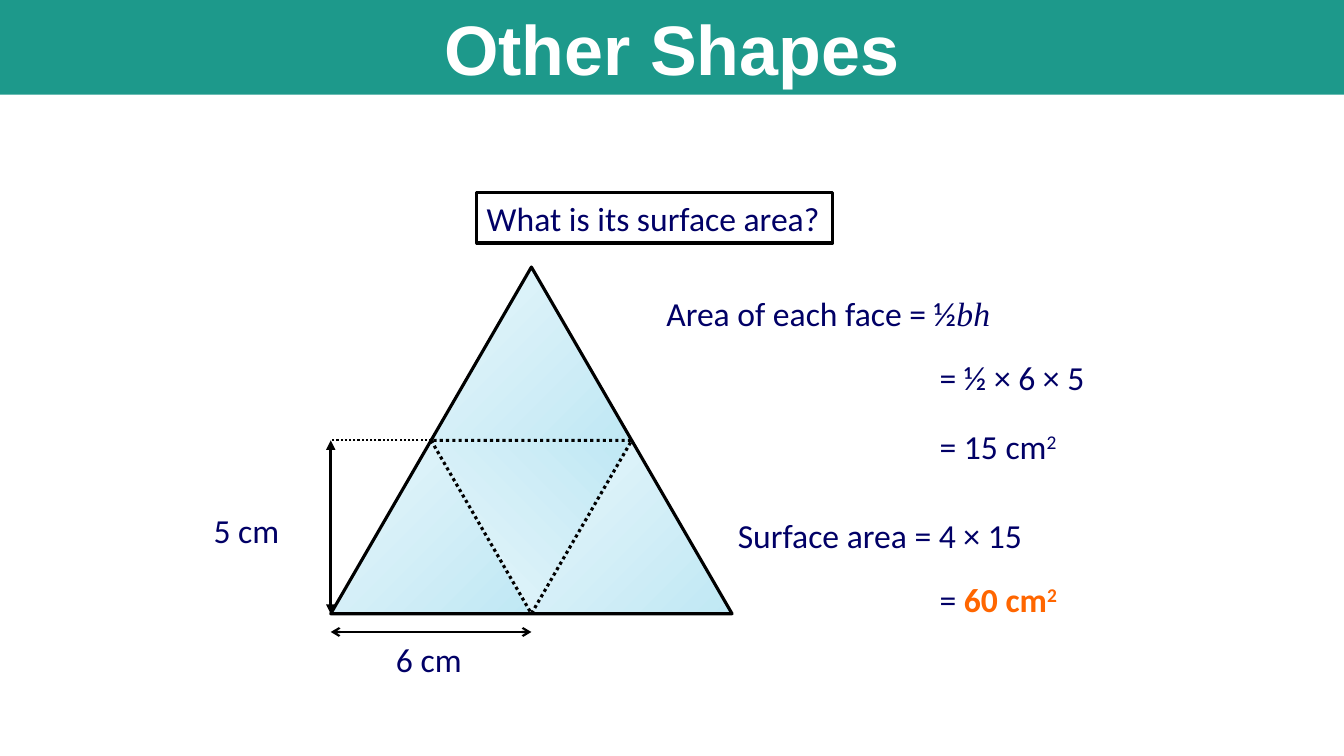
from dataclasses import dataclass

from pptx import Presentation
from pptx.dml.color import RGBColor
from pptx.enum.dml import MSO_LINE
from pptx.enum.shapes import MSO_CONNECTOR, MSO_SHAPE
from pptx.enum.text import MSO_ANCHOR, MSO_AUTO_SIZE, PP_ALIGN
from pptx.oxml.ns import qn
from pptx.shapes.autoshape import Shape
from pptx.slide import Slide
from pptx.util import Inches, Pt
from lxml import etree

RECTANGLE, TRIANGLE = MSO_SHAPE.RECTANGLE, MSO_SHAPE.ISOSCELES_TRIANGLE
STRAIGHT, DOTTED = MSO_CONNECTOR.STRAIGHT, MSO_LINE.ROUND_DOT
CENTER, MIDDLE = PP_ALIGN.CENTER, MSO_ANCHOR.MIDDLE
FIT_TEXT = MSO_AUTO_SIZE.SHAPE_TO_FIT_TEXT

WHITE = RGBColor(0xFF, 0xFF, 0xFF)
BLACK = RGBColor(0x00, 0x00, 0x00)
NAVY = RGBColor(0x01, 0x00, 0x66)
ORANGE = RGBColor(0xFF, 0x66, 0x00)
TEAL = RGBColor(0x1D, 0x99, 0x8B)
PALE_BLUE = RGBColor(0xE8, 0xF6, 0xFB)
LIGHT_BLUE = RGBColor(0xC0, 0xE8, 0xF4)

SLIDE_WIDTH, SLIDE_HEIGHT = Inches(13.33), Inches(7.5)

# Shares of the slide, in percent
NET_LEFT, NET_TOP = 24.61, 35.33
FACE_WIDTH, FACE_HEIGHT = 14.93, 22.93
FOLD_TOP, NET_BOTTOM = NET_TOP + FACE_HEIGHT, NET_TOP + 2 * FACE_HEIGHT
BASE_ARROW_TOP = 83.6
TEXT_HEIGHT = 6.67
EQUALS_LEFT = 69.17


@dataclass(frozen=True)
class Piece:
    text: str
    font: str | None = None
    color: RGBColor | None = None
    bold: bool | None = None
    italic: bool | None = None
    raised: bool = False


@dataclass(frozen=True)
class Label:
    left: float
    top: float
    width: float
    pieces: tuple[Piece, ...]


@dataclass(frozen=True)
class Measure:
    start: tuple[float, float]
    end: tuple[float, float]
    weight: float
    arrow: str | None = None


SQUARED = Piece("2", raised=True)
ORANGE_SQUARED = Piece("2", color=ORANGE, bold=True, raised=True)

LABELS = (
    Label(28.73, 83.87, 6.45, (Piece("6 cm"),)),
    Label(15.15, 66.8, 6.45, (Piece("5 cm"),)),
    Label(48.84, 38.13, 25.81, (
        Piece("Area of each face = ½"),
        Piece("bh", font="Times New Roman", italic=True))),
    Label(EQUALS_LEFT, 46.53, 12.83, (Piece("= ½ × 6 × 5"),)),
    Label(EQUALS_LEFT, 55.73, 10.43, (Piece("= 15 cm"), SQUARED)),
    Label(54.16, 67.47, 23.03, (Piece("Surface area = 4 × 15"),)),
    Label(EQUALS_LEFT, 75.87, 10.43, (
        Piece("= "), Piece("60 cm", color=ORANGE, bold=True), ORANGE_SQUARED)),
)
QUESTION = Label(35.48, 25.47, 26.48, (Piece("What is its surface area?"),))

MEASURES = (
    Measure((NET_LEFT, FOLD_TOP), (NET_LEFT, NET_BOTTOM), 2.25, "triangle"),
    Measure((NET_LEFT + FACE_WIDTH / 2, FOLD_TOP), (NET_LEFT, FOLD_TOP), 1.5),
    Measure((NET_LEFT, BASE_ARROW_TOP),
            (NET_LEFT + FACE_WIDTH, BASE_ARROW_TOP), 1.5, "arrow"),
)


def across(share: float) -> int:
    return round(SLIDE_WIDTH * share / 100)


def down(share: float) -> int:
    return round(SLIDE_HEIGHT * share / 100)


def add_shape(page: Slide, kind: int, left: float, top: float,
              width: float, height: float, outlined: bool = False) -> Shape:
    shape = page.shapes.add_shape(
        kind, across(left), down(top), across(width), down(height))
    shape.shadow.inherit = False
    shape.fill.background()
    if outlined:
        shape.line.color.rgb = BLACK
        shape.line.width = Pt(2.25)
    else:
        shape.line.fill.background()
    return shape


def add_face(page: Slide, left: float, top: float, folded: bool = False) -> None:
    face = add_shape(page, TRIANGLE, left, top, FACE_WIDTH, FACE_HEIGHT, folded)
    face.fill.gradient()
    face.fill.gradient_angle = 315
    for stop, color in zip(face.fill.gradient_stops, (PALE_BLUE, LIGHT_BLUE)):
        stop.color.rgb = color
    if folded:
        face.line.dash_style = DOTTED
        face.element.spPr.find(qn("a:xfrm")).set("flipV", "1")


def add_measure(page: Slide, measure: Measure) -> None:
    (x1, y1), (x2, y2) = measure.start, measure.end
    line = page.shapes.add_connector(
        STRAIGHT, across(x1), down(y1), across(x2), down(y2))
    line.line.color.rgb = BLACK
    line.line.width = Pt(measure.weight)
    if measure.arrow:
        outline = line.line.fill and line.element.spPr.find(qn("a:ln"))
        for end in ("a:headEnd", "a:tailEnd"):
            etree.SubElement(outline, qn(end), type=measure.arrow)
    else:
        line.line.dash_style = DOTTED
    etree.SubElement(line.element.spPr, qn("a:effectLst"))


def write_label(box: Shape, label: Label) -> None:
    frame = box.text_frame
    frame.word_wrap = False
    frame.auto_size = FIT_TEXT
    para = frame.paragraphs[0]
    para.alignment = PP_ALIGN.LEFT
    para.font.size = Pt(24)
    for piece in label.pieces:
        span = para.add_run()
        span.text = piece.text
        span.font.name = piece.font or "Calibri"
        span.font.color.rgb = piece.color or NAVY
        span.font.bold = piece.bold
        span.font.italic = piece.italic
        if piece.raised:
            span.font._element.set("baseline", "30000")


def add_title(page: Slide, text: str) -> None:
    banner = add_shape(page, RECTANGLE, 0, 0, 100, 12.53)
    banner.fill.solid()
    banner.fill.fore_color.rgb = TEAL
    frame = banner.text_frame
    frame.word_wrap = True
    frame.auto_size = FIT_TEXT
    frame.vertical_anchor = MIDDLE
    para = frame.paragraphs[0]
    para.text = text
    para.alignment = CENTER
    para.font.name = "Arial"
    para.font.size = Pt(50)
    para.font.bold = True
    para.font.color.rgb = WHITE


def main() -> None:
    deck = Presentation()
    deck.slide_width, deck.slide_height = SLIDE_WIDTH, SLIDE_HEIGHT
    page = deck.slides.add_slide(deck.slide_layouts[6])

    # Question
    box = add_shape(page, RECTANGLE, QUESTION.left, QUESTION.top,
                    QUESTION.width, TEXT_HEIGHT, outlined=True)
    box.fill.solid()
    box.fill.fore_color.rgb = WHITE
    write_label(box, QUESTION)

    # Net of the tetrahedron
    middle_left = NET_LEFT + FACE_WIDTH / 2
    add_face(page, middle_left, NET_TOP)
    add_face(page, NET_LEFT + FACE_WIDTH, FOLD_TOP)
    add_face(page, NET_LEFT, FOLD_TOP)
    add_face(page, middle_left, FOLD_TOP, folded=True)

    # Measurements and working
    for measure in MEASURES:
        add_measure(page, measure)
    for label in LABELS:
        box = page.shapes.add_textbox(across(label.left), down(label.top),
                                      across(label.width), down(TEXT_HEIGHT))
        write_label(box, label)

    # Outline of the net and title
    add_shape(page, TRIANGLE, NET_LEFT, NET_TOP,
              2 * FACE_WIDTH, 2 * FACE_HEIGHT, outlined=True)
    add_title(page, "Other Shapes")
    deck.save("out.pptx")


if __name__ == "__main__":
    main()
